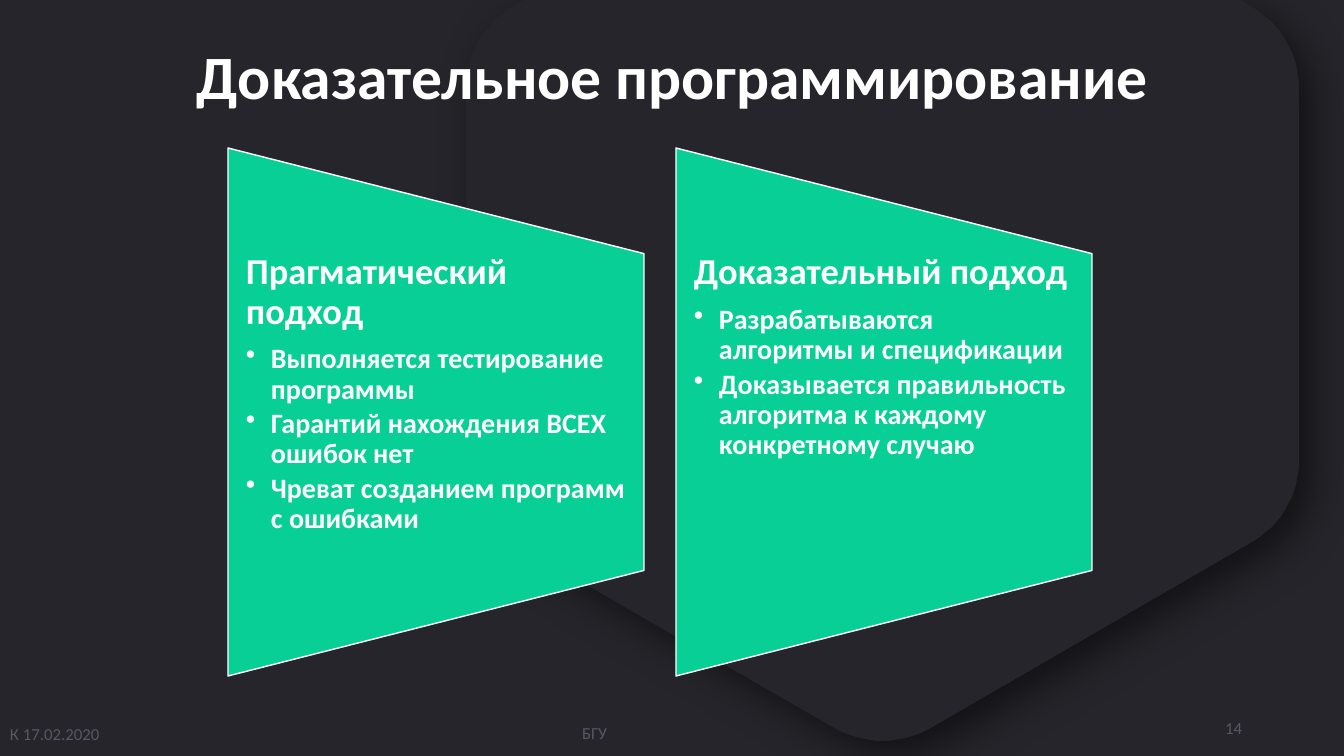
from lxml.etree import SubElement
from pptx import Presentation
from pptx.dml.color import RGBColor
from pptx.enum.shapes import MSO_SHAPE as Shape
from pptx.enum.text import MSO_ANCHOR as Anchor, PP_ALIGN as Align
from pptx.oxml.ns import qn
from pptx.util import Emu, Pt

# Content
TITLE = "Доказательное программирование"
APPROACHES = [
    ("Прагматический подход", [
        "Выполняется тестирование программы",
        "Гарантий нахождения ВСЕХ ошибок нет",
        "Чреват созданием программ с ошибками",
    ]),
    ("Доказательный подход", [
        "Разрабатываются алгоритмы и спецификации",
        "Доказывается правильность алгоритма к каждому конкретному случаю",
    ]),
]
FOOTERS = [  # text, box in px, alignment
    ("К 17.02.2020", (0, 714, 146, 40), Align.LEFT),
    ("БГУ", (187, 713, 430, 40), Align.RIGHT),
    ("14", (950, 708, 302, 40), Align.RIGHT),
]

# Look
FONT = "Calibri"
DARK, GREEN, WHITE, GREY = "25252B", "08CF96", "FFFFFF", "575765"
PX = 9071  # EMU per px
PANEL_LEFT, PANEL_TOP, PANEL_W, PANEL_H, PANEL_STEP = 228, 148, 416, 528, 448
PANEL_INSET, BULLET_INDENT = 18, 25

# Rounded hexagon: a pair is a corner, a triple of pairs is a Bezier curve
HEXAGON = [
    (524, 0), (1240, 0), (1252, 7),
    ((1281, 24), (1299, 54), (1299, 89)), (1299, 461),
    ((1299, 494), (1281, 525), (1252, 542)), (929, 729),
    ((900, 745), (865, 745), (836, 729)), (512, 542),
    ((484, 525), (466, 494), (466, 461)), (466, 89),
    ((466, 54), (484, 24), (512, 7)),
]
CURVE_STEPS = 16


def px(value):
    return Emu(round(value * PX))


def color(hex_string):
    return RGBColor.from_string(hex_string)


def outline(segments):
    points = []
    for segment in segments:
        if not isinstance(segment[0], tuple):
            points.append(segment)
            continue
        start, (a, b, end) = points[-1], segment
        for step in range(1, CURVE_STEPS + 1):
            t = step / CURVE_STEPS
            weights = ((1 - t) ** 3, 3 * t * (1 - t) ** 2, 3 * t * t * (1 - t), t ** 3)
            points.append(tuple(
                sum(w * p[axis] for w, p in zip(weights, (start, a, b, end)))
                for axis in (0, 1)))
    return points


def add_shadow(shape):
    shape.shadow.inherit = False
    effects = shape._element.spPr.find(qn("a:effectLst"))
    shadow = SubElement(effects, qn("a:outerShdw"), blurRad=str(Pt(30)),
                        dist=str(Pt(14)), dir=str(45 * 60000), algn="tl", rotWithShape="0")
    black = SubElement(shadow, qn("a:srgbClr"), val="000000")
    SubElement(black, qn("a:alpha"), val="50000")


def add_text(box, lines, size, hex_string, bold=False, align=Align.LEFT, anchor=Anchor.TOP):
    frame = slide.shapes.add_textbox(*map(px, box)).text_frame
    frame.word_wrap = True
    frame.vertical_anchor = anchor
    frame.text = "\n".join(lines)
    for paragraph in frame.paragraphs:
        paragraph.alignment = align
        font = paragraph.runs[0].font
        font.name, font.size, font.bold = FONT, Pt(size), bold
        font.color.rgb = color(hex_string)
    return frame


def make_bullet(paragraph):
    properties = paragraph._p.get_or_add_pPr()
    properties.set("marL", str(px(BULLET_INDENT)))
    properties.set("indent", str(-px(BULLET_INDENT)))
    SubElement(properties, qn("a:buChar"), char="•")


prs = Presentation()
prs.slide_width, prs.slide_height = px(1344), px(756)
slide = prs.slides.add_slide(prs.slide_layouts[6])
slide.background.fill.solid()
slide.background.fill.fore_color.rgb = color(DARK)

# Backdrop hexagon
corners = outline(HEXAGON)
builder = slide.shapes.build_freeform(*corners[0], scale=PX)
builder.add_line_segments(corners[1:], close=True)
hexagon = builder.convert_to_shape()
hexagon.fill.solid()
hexagon.fill.fore_color.rgb = color(DARK)
hexagon.line.fill.background()
add_shadow(hexagon)

# Footer
for words, box, align in FOOTERS:
    add_text(box, [words], 12, GREY, align=align, anchor=Anchor.MIDDLE)

# Approach panels: trapezoids turned on their side, text in the middle band
for index, (heading, points) in enumerate(APPROACHES):
    left = PANEL_LEFT + index * PANEL_STEP
    shift = (PANEL_H - PANEL_W) / 2
    panel = slide.shapes.add_shape(
        Shape.FLOWCHART_MANUAL_OPERATION,
        px(left - shift), px(PANEL_TOP + shift), px(PANEL_H), px(PANEL_W))
    panel.rotation = 270
    panel.shadow.inherit = False
    panel.fill.solid()
    panel.fill.fore_color.rgb = color(GREEN)
    panel.line.color.rgb = color(WHITE)
    panel.line.width = Pt(1)

    band = (left, PANEL_TOP + PANEL_H / 5, PANEL_W, PANEL_H * 3 / 5)
    frame = add_text(band, [heading, *points], 20, WHITE, bold=True)
    frame.margin_left = frame.margin_right = px(PANEL_INSET)
    frame.margin_top = frame.margin_bottom = 0
    for paragraph in frame.paragraphs:
        paragraph.line_spacing = 0.9
        paragraph.space_after = Pt(3)
    head, *bullets = frame.paragraphs
    head.runs[0].font.size = Pt(26)
    head.space_after = Pt(9)
    for bullet in bullets:
        make_bullet(bullet)

# Title
add_text((187, 33, 1111, 85), [TITLE], 44, WHITE, bold=True)

prs.save("out.pptx")
